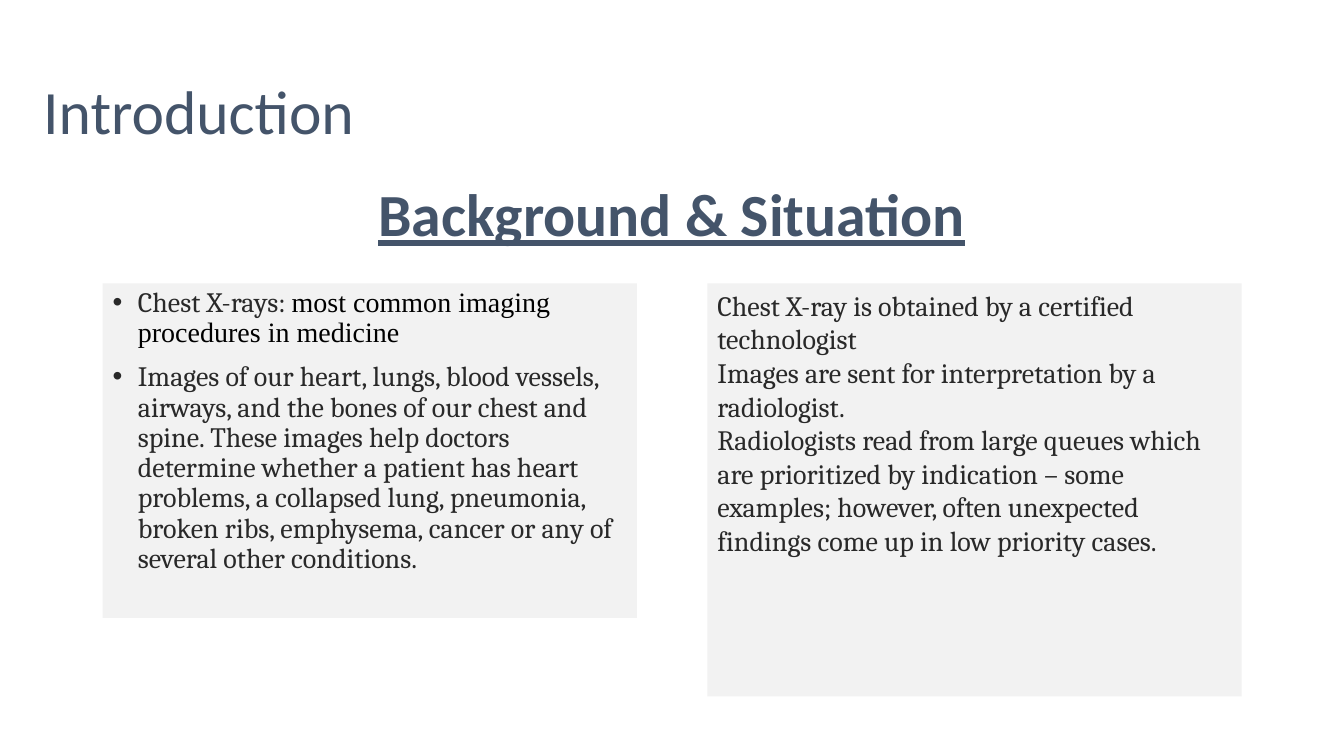
from pptx import Presentation
from pptx import util as u
from pptx.dml.color import RGBColor
from pptx.enum import shapes, text
from pptx.oxml import parse_xml
from pptx.oxml.ns import nsdecls

SLATE = RGBColor(0x44, 0x54, 0x6A)
PANEL_GREY = RGBColor(0xF2, 0xF2, 0xF2)
INK = RGBColor(0x29, 0x29, 0x29)
BLACK = RGBColor(0, 0, 0)

deck = Presentation()
deck.slide_width, deck.slide_height = u.Cm(33.87), u.Cm(19.05)
slide = deck.slides.add_slide(deck.slide_layouts[6])


def write(holder, paragraphs, size, color=INK, font="Cambria", bold=None, underline=None,
          align=text.PP_ALIGN.LEFT, anchor=text.MSO_ANCHOR.TOP,
          line=None, before=0, bullet=False):
    """Each paragraph is a list of (words, run overrides)."""
    frame = holder.text_frame
    frame.word_wrap = True
    frame.vertical_anchor = anchor
    for index, runs in enumerate(paragraphs):
        paragraph = frame.add_paragraph() if index else frame.paragraphs[0]
        paragraph.alignment = align
        paragraph.line_spacing = line
        paragraph.space_before = u.Pt(before)
        if bullet:
            props = paragraph._p.get_or_add_pPr()
            props.set("marL", str(u.Cm(0.635)))
            props.set("indent", str(u.Cm(-0.635)))
            for tag in (f'<a:buFont {nsdecls("a")} typeface="Arial"/>',
                        f'<a:buChar {nsdecls("a")} char="\u2022"/>'):
                props.append(parse_xml(tag))
        for words, override in runs:
            run = paragraph.add_run()
            run.text = words
            run.font.size = u.Pt(size)
            run.font.name = override.get("font", font)
            run.font.color.rgb = override.get("color", color)
            run.font.bold = bold
            run.font.underline = underline


# Title and section heading
title = slide.shapes.add_textbox(u.Cm(0.84), u.Cm(1.3), u.Cm(30.48), u.Cm(3.15))
write(title, [[("Introduction", {})]], 44, color=SLATE, font="Calibri",
      anchor=text.MSO_ANCHOR.MIDDLE, line=0.9)

heading = slide.shapes.add_textbox(u.Cm(5.44), u.Cm(4.34), u.Cm(22.99), u.Cm(2.08))
write(heading, [[("Background & Situation", {})]], 42.7, color=SLATE, font="Calibri",
      bold=True, underline=True, align=text.PP_ALIGN.CENTER)

# Two grey panels
background = [
    [("Chest X-rays: ", {}),
     ("most common imaging procedures in medicine",
      {"font": "Times New Roman", "color": BLACK})],
    [("Images of our heart, lungs, blood vessels, airways, and the bones of our chest "
      "and spine. These images help doctors determine whether a patient has heart "
      "problems, a collapsed lung, pneumonia, broken ribs, emphysema, cancer or any "
      "of several other conditions.", {})],
]
situation = [
    [("Chest X-ray is obtained by a certified technologist", {})],
    [("Images are sent for interpretation by a radiologist.", {})],
    [("Radiologists read from large queues which are prioritized by indication \u2013 "
      "some examples; however, often unexpected findings come up in low priority "
      "cases.", {})],
]
panels = [
    (2.59, 8.43, background, {"line": 0.9, "before": 10, "bullet": True}),
    (17.83, 10.41, situation, {}),
]
for left, height, paragraphs, layout in panels:
    panel = slide.shapes.add_shape(shapes.MSO_SHAPE.RECTANGLE, u.Cm(left), u.Cm(7.14),
                                   u.Cm(13.46), u.Cm(height))
    panel.shadow.inherit = False
    panel.fill.solid()
    panel.fill.fore_color.rgb = PANEL_GREY
    panel.line.fill.background()
    write(panel, paragraphs, 20, **layout)

deck.save("out.pptx")
